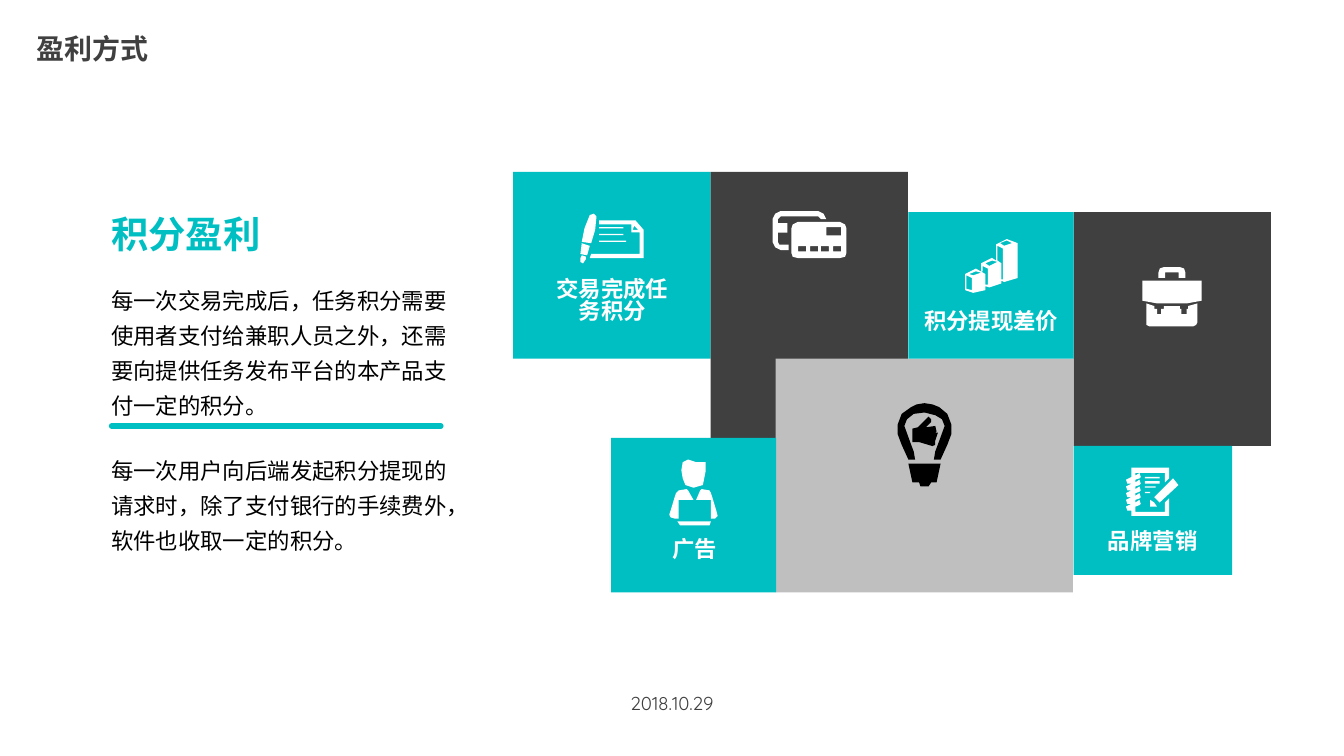
from pptx import Presentation
from pptx.dml.color import RGBColor
from pptx.enum.shapes import MSO_CONNECTOR as Connector, MSO_SHAPE as Preset
from pptx.enum.text import MSO_ANCHOR as Anchor, MSO_AUTO_SIZE as AutoSize, PP_ALIGN as Align
from pptx.oxml.ns import qn
from pptx.util import Cm, Pt
from lxml.etree import SubElement

COLORS = {"teal": "00BFC3", "dark": "404040", "grey": "BFBFBF",
          "white": "FFFFFF", "black": "000000"}
FONT = "Quicksand"
BODY_FONT = "Noto Sans CJK SC"
ICON_UNIT = Cm(0.0254)


def color(name):
    return RGBColor.from_string(COLORS[name])


class SlideBuilder:
    def __init__(self, slide):
        self.slide = slide
        self.shapes = slide.shapes

    def set_text(self, shape, paragraphs, size, ink, bold=False, align=Align.LEFT,
                 spacing=1.0, gap=0, font=FONT, wrap=True):
        frame = shape.text_frame
        frame.word_wrap = wrap
        frame.auto_size = AutoSize.NONE
        frame.vertical_anchor = Anchor.TOP
        frame.text = "\n".join(paragraphs)
        for index, paragraph in enumerate(frame.paragraphs):
            paragraph.alignment = align
            paragraph.line_spacing = spacing
            paragraph.space_before = Pt(gap if index else 0)
            paragraph.font.name = font
            paragraph.font.size = Pt(size)
            paragraph.font.bold = bold
            paragraph.font.color.rgb = color(ink)

    def title(self, box, text):
        shape = self.shapes.title
        shape.left, shape.top, shape.width, shape.height = map(Cm, box)
        self.set_text(shape, [text], 15, "dark", bold=True)

    def text(self, box, *paragraphs, **style):
        self.set_text(self.shapes.add_textbox(*map(Cm, box)), paragraphs, **style)

    def paint(self, shape, fill):
        shape.shadow.inherit = False
        shape.fill.solid()
        shape.fill.fore_color.rgb = color(fill)
        shape.line.fill.background()

    def tile(self, box, fill):
        self.paint(self.shapes.add_shape(Preset.RECTANGLE, *map(Cm, box)), fill)

    def icon(self, origin, contours, fill):
        builder = self.shapes.build_freeform(*contours[0][0], scale=ICON_UNIT)
        for index, contour in enumerate(contours):
            if index:
                builder.move_to(*contour[0])
            builder.add_line_segments(contour[1:], close=True)
        self.paint(builder.convert_to_shape(*map(Cm, origin)), fill)

    def rule(self, left, right, y, ink, width):
        line = self.shapes.add_connector(Connector.STRAIGHT, Cm(left), Cm(y), Cm(right), Cm(y))
        line.line.color.rgb = color(ink)
        line.line.width = Pt(width)
        properties = line._element.spPr
        properties.find(qn("a:ln")).set("cap", "rnd")
        SubElement(properties, qn("a:effectLst"))


def bar(left, top, right, bottom):
    return [(left, top), (right, top), (right, bottom), (left, bottom)]


# Icon outlines, in hundredths of an inch from each icon's corner
BRIEFCASE = [
    [(3, 27), (9, 29), (9, 31), (11, 31), (11, 35), (14, 35), (14, 31), (16, 31), (16, 29),
     (28, 29), (28, 31), (29, 31), (29, 35), (33, 35), (33, 31), (34, 31), (34, 29), (41, 27),
     (41, 41), (40, 43), (38, 44), (5, 44), (3, 43), (3, 41)],
    [(16, 0), (28, 0), (31, 1), (32, 4), (32, 8), (27, 8), (27, 4), (17, 4), (17, 8), (12, 8),
     (12, 4), (13, 1)],
    [(0, 10), (44, 10), (44, 25), (33, 27), (11, 27), (0, 25)],
]
RING_STEPS = range(0, 25, 5)
NOTEBOOK = [
    [(4, 0), (32, 0), (32, 8), (29, 11), (29, 4), (7, 4)]
    + [(x, y + step) for step in RING_STEPS
       for x, y in [(7, 6), (10, 4), (11, 7), (10, 8), (7, 9)]]
    + [(7, 33), (29, 33), (29, 26), (32, 23), (32, 36), (4, 36)]
    + [(x, y + step) for step in reversed(RING_STEPS)
       for x, y in [(4, 12), (1, 12), (0, 9), (4, 7)]],
    bar(14, 7, 25, 8), bar(14, 10, 25, 12), bar(14, 14, 22, 15), bar(14, 18, 18, 19),
    [(18, 29), (23, 29), (21, 26), (18, 24)],
    [(35, 8), (21, 22), (25, 26), (39, 13)],
]
PEN_AND_PAGE = [
    [(7, 1), (10, 0), (12, 2), (11, 12), (8, 22), (1, 21), (3, 11)],
    [(8, 30), (7, 33), (47, 33), (47, 12), (41, 5), (14, 5), (14, 8), (38, 8), (38, 14),
     (44, 14), (44, 30)],
    [(43, 12), (39, 12), (40, 9)],
    bar(14, 10, 32, 11), bar(14, 15, 32, 16), bar(14, 20, 34, 21),
    [(1, 31), (4, 32), (4, 34), (2, 37), (0, 36), (0, 33)],
    [(1, 22), (0, 30), (5, 31), (7, 24)],
]
CARDS = [
    [(19, 8), (50, 8), (54, 10), (55, 13), (55, 31), (54, 34), (50, 35), (19, 35), (15, 34),
     (14, 31), (14, 13), (15, 10)],
    [(5, 25), (4, 23), (4, 16), (11, 16), (11, 9), (4, 9), (4, 6), (6, 4), (34, 4), (36, 6),
     (40, 6), (38, 2), (34, 0), (6, 0), (2, 2), (0, 6), (0, 23), (2, 27), (6, 29), (12, 29),
     (12, 25)],
    bar(40, 12, 51, 18),
    *[bar(left, 26, left + 6, 30) for left in (19, 28, 36, 45)],
]
BULB = [
    [(9, 45), (33, 45), (30, 59), (26, 59), (24, 62), (18, 62), (17, 59), (12, 59)],
    [(29, 17), (30, 21), (29, 22), (31, 22), (29, 28), (29, 31), (27, 32), (17, 29), (12, 29),
     (12, 19), (16, 18), (24, 10), (26, 12), (26, 14), (22, 18)],
    [(9, 42), (14, 42), (13, 36), (10, 28), (6, 17), (8, 12), (13, 8), (21, 7), (29, 9),
     (34, 12), (36, 17), (32, 28), (29, 36), (28, 42), (33, 42), (38, 31), (41, 23), (41, 16),
     (38, 8), (32, 3), (27, 1), (21, 0), (15, 1), (11, 3), (4, 8), (1, 16), (1, 23), (4, 31)],
]
PERSON = [
    [(10, 17), (9, 11), (10, 5), (14, 3), (20, 5), (27, 5), (27, 12), (25, 22), (18, 24),
     (12, 22)],
    [(6, 49), (31, 49), (30, 52), (8, 52)],
    [(32, 31), (35, 41), (36, 45), (34, 47), (31, 47), (31, 33), (20, 33), (23, 26), (24, 25),
     (30, 26), (31, 28)],
    [(7, 47), (4, 47), (1, 46), (0, 44), (1, 41), (4, 31), (5, 28), (7, 26), (13, 25), (14, 26),
     (18, 33), (7, 33)],
]
COLUMNS = [
    [(12, 18), (20, 14), (23, 16), (23, 4), (31, 0), (39, 3), (39, 29), (29, 32), (27, 31),
     (27, 33), (18, 36), (15, 35), (15, 38), (6, 40), (0, 38), (0, 26), (8, 22), (15, 26),
     (15, 34), (17, 34), (17, 22), (13, 20), (13, 24), (12, 24)],
    [(26, 3), (29, 5), (35, 3), (31, 1)],
    [(15, 18), (18, 20), (24, 17), (20, 16)],
    [(3, 26), (6, 27), (12, 25), (8, 24)],
    [(5, 29), (1, 27), (1, 37), (5, 38)],
    [(24, 16), (27, 18), (27, 30), (28, 30), (28, 7), (24, 5)],
]

# Tile box, tile fill, icon corner, icon, icon fill, label box, label
TILES = [
    ((20.29, 4.01, 3.73, 4.42), "dark", (21.59, 5.05), BRIEFCASE, "white", None, None),
    ((20.29, 8.43, 3, 2.44), "teal", (21.28, 8.84), NOTEBOOK, "white",
     (20.45, 9.93, 2.67, 0.66), "品牌营销"),
    ((9.7, 3.25, 3.73, 3.53), "teal", (10.97, 4.04), PEN_AND_PAGE, "white",
     (10.24, 5.18, 2.67, 1.07), "交易完成任务积分"),
    ((13.43, 3.25, 3.73, 5.03), "dark", (14.6, 3.99), CARDS, "white", None, None),
    ((14.66, 6.78, 5.62, 4.42), "grey", (16.94, 7.62), BULB, "black", None, None),
    ((11.55, 8.28, 3.12, 2.92), "teal", (12.65, 8.61), PERSON, "white",
     (11.79, 10.08, 2.67, 0.66), "广告"),
    ((17.17, 4.01, 3.12, 2.77), "teal", (18.24, 4.52), COLUMNS, "white",
     (16.79, 5.77, 3.89, 0.66), "积分提现差价"),
]


def main():
    presentation = Presentation()
    presentation.slide_width, presentation.slide_height = Cm(25.4), Cm(14.29)
    builder = SlideBuilder(presentation.slides.add_slide(presentation.slide_layouts[5]))

    # Title and date
    builder.title((0.43, 0.46, 5.97, 1.65), "盈利方式")
    builder.text((11.33, 12.95, 2.74, 0.69), "2018.10.29", size=10, ink="dark",
                 align=Align.CENTER, wrap=False)

    # Explanation on the left
    builder.text((1.85, 3.96, 3.33, 1.02), "积分盈利", size=20, ink="teal", bold=True,
                 spacing=0.9, wrap=False)
    builder.text((1.85, 5.16, 7.01, 5.46),
                 "每一次交易完成后，任务积分需要使用者支付给兼职人员之外，还需要向提供任务发布平台的本产品支付一定的积分。",
                 "每一次用户向后端发起积分提现的请求时，除了支付银行的手续费外，软件也收取一定的积分。",
                 size=12, ink="black", spacing=1.3, gap=16, font=BODY_FONT)
    builder.rule(2.11, 8.33, 8.05, "teal", 3)

    # Mosaic of tiles
    for box, fill, corner, contours, icon_fill, label_box, label in TILES:
        builder.tile(box, fill)
        builder.icon(corner, contours, icon_fill)
        if label:
            builder.text(label_box, label, size=12, ink="white", bold=True,
                         align=Align.CENTER, spacing=0.8)

    presentation.save("out.pptx")


if __name__ == "__main__":
    main()
